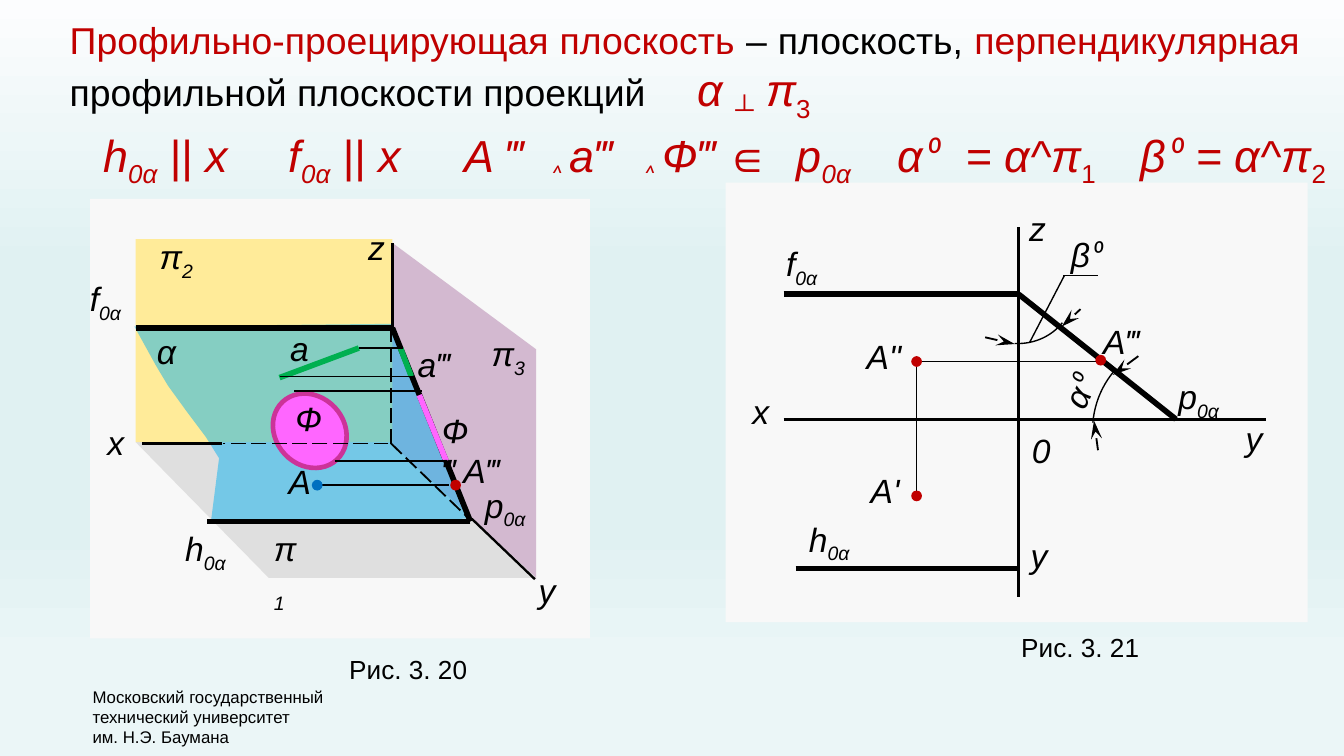
"""Build the slide on the profile-projecting plane."""
from lxml import etree
from pptx import Presentation, util as u
from pptx.dml.color import RGBColor
from pptx.enum import dml, shapes, text
from pptx.oxml import ns

PX = 9144
THEME = {
    "ink": "000000", "red": "C00000", "panel": "F8F8F8", "blue": "0070C0",
    "green": "00B050", "pink": "FF66FF", "rim": "CC3399", "lilac": "CAAAC6",
    "grey": "DFDFDF", "sand": "FFEB99", "sky": "00B0F0",
    "sizes": {"big": 24, "head": 20, "mark": 18, "note": 14, "foot": 9},
    "back": [(0, "FCFDFE"), (35, "E0F1F2"), (67, "E0F1F2"), (69, "E0F1F2"),
             (88, "EBF6F7"), (100, "EBF6F7")],
}

deck = Presentation()
deck.slide_width, deck.slide_height = u.Inches(10), u.Inches(5.625)
slide = deck.slides.add_slide(deck.slide_layouts[6])
tree = slide.shapes


def paint(shape, fill=None, line=None, width=1, alpha=None):
    shape.shadow.inherit = False
    if fill:
        shape.fill.solid()
        shape.fill.fore_color.rgb = RGBColor.from_string(THEME[fill])
        if alpha:
            node = shape._element.spPr.find(".//" + ns.qn("a:srgbClr"))
            etree.SubElement(node, ns.qn("a:alpha"), val=str(alpha * 1000))
    else:
        shape.fill.background()
    if line:
        shape.line.color.rgb = RGBColor.from_string(THEME[line])
        shape.line.width = u.Pt(width)
    else:
        shape.line.fill.background()


def write(area, paras, wrap=False, turn=0, tabs=(), align=None):
    box = tree.add_textbox(*[n * PX for n in area])
    box.rotation = turn
    frame = box.text_frame
    frame.word_wrap = wrap
    frame.auto_size = text.MSO_AUTO_SIZE.SHAPE_TO_FIT_TEXT
    for num, runs in enumerate(paras):
        para = frame.add_paragraph() if num else frame.paragraphs[0]
        if align is not None:
            para.alignment = align
        if tabs:
            stops = etree.SubElement(para._p.get_or_add_pPr(), ns.qn("a:tabLst"))
            for stop in tabs:
                etree.SubElement(stops, ns.qn("a:tab"), pos=str(stop * PX), algn="l")
        for words, size, hue, style in runs:
            run = para.add_run()
            run.text = words
            run.font.name = "Calibri" if "c" in style else "Arial"
            run.font.size = u.Pt(THEME["sizes"][size])
            run.font.italic = "i" in style
            run.font.color.rgb = RGBColor.from_string(THEME[hue])
            if "s" in style:
                run.font._element.set("baseline", "-25000")


slide.background.fill.gradient()
grad = slide._element.find(".//" + ns.qn("a:gradFill"))
for node in list(grad):
    grad.remove(node)
stops = etree.SubElement(grad, ns.qn("a:gsLst"))
for place, hue in THEME["back"]:
    stop = etree.SubElement(stops, ns.qn("a:gs"), pos=str(place * 1000))
    etree.SubElement(stop, ns.qn("a:srgbClr"), val=hue)
etree.SubElement(grad, ns.qn("a:lin"), ang="5400000", scaled="0")

RECT, OVAL, ARC = (shapes.MSO_SHAPE.RECTANGLE, shapes.MSO_SHAPE.OVAL, shapes.MSO_SHAPE.ARC)
for area in [(540, 136, 433, 327), (67, 148, 372, 327)]:
    paint(tree.add_shape(RECT, *[n * PX for n in area]), "panel")

side = [(291, 180), (399, 260), (399, 431), (291, 330)]
floor = [(101, 329), (290, 329), (399, 430), (200, 430)]
alpha = [(100, 243), (292, 241), (348, 386), (157, 388), (163, 341),
         (153, 325), (138, 305), (125, 287), (116, 272)]
for points, hue, clear in [(side, "lilac", 80), (floor, "grey", None), (alpha, "sky", 48)]:
    if hue == "sky":
        paint(tree.add_shape(RECT, 101 * PX, 178 * PX, 191 * PX, 151 * PX), "sand")
    pen = tree.build_freeform(*points[0], scale=PX)
    pen.add_line_segments(points[1:], close=True)
    paint(pen.convert_to_shape(), hue, alpha=clear)

disc = tree.add_shape(OVAL, 205 * PX, 291 * PX, 51 * PX, 59 * PX)
disc.rotation = 316.8
paint(disc, "pink", "rim", 2.5)

for area, turn, ends in [((814, 250, 138, 140), 270, (164.74, 186.16)),
                         ((715, 171, 83, 86), 108.4, (173.57, 206.33))]:
    arc = tree.add_shape(ARC, *[n * PX for n in area])
    arc.rotation = turn
    for num, end in enumerate(ends):
        arc.adjustments[num] = end
    paint(arc, None, "ink", 0.75)

lines = [
    ("ink", 1.5, "", [(583, 312, 942, 312), (758, 169, 758, 444)]),
    ("ink", 3, "", [(583, 219, 758, 219), (592, 423, 758, 423), (758, 219, 875, 312),
                    (101, 244, 292, 244), (292, 244, 350, 388), (350, 388, 154, 388)]),
    ("ink", 1.25, "", [(351, 386, 398, 431), (292, 244, 292, 181), (165, 330, 106, 330)]),
    ("green", 3, "", [(267, 259, 208, 281), (298, 259, 306, 280)]),
    ("pink", 3, "", [(312, 294, 332, 343)]),
    ("ink", 0.75, "", [(817, 269, 683, 269), (682, 269, 682, 367), (267, 259, 300, 259),
                       (208, 280, 307, 280), (219, 291, 314, 291), (249, 343, 331, 343),
                       (239, 361, 334, 361), (792, 205, 766, 255), (791, 205, 817, 205)]),
    ("ink", 1, "head", [(804, 230, 790, 243), (847, 265, 828, 279),
                        (733, 251, 755, 256), (817, 335, 814, 313)]),
    ("ink", 1, "dash", [(291, 330, 291, 240), (291, 330, 349, 386), (289, 330, 166, 330)]),
]
for hue, width, kind, spans in lines:
    for span in spans:
        line = tree.add_connector(shapes.MSO_CONNECTOR.STRAIGHT, *[n * PX for n in span])
        line.line.color.rgb = RGBColor.from_string(THEME[hue])
        line.line.width = u.Pt(width)
        if kind == "dash":
            line.line.dash_style = dml.MSO_LINE.LONG_DASH
        if kind == "head":
            etree.SubElement(line.line._get_or_add_ln(), ns.qn("a:tailEnd"),
                             type="stealth", len="lg")
        etree.SubElement(line._element.spPr, ns.qn("a:effectLst"))

for left, top, hue in [(678, 265, "red"), (815, 264, "red"), (678, 365, "red"),
                       (232, 357, "blue"), (335, 357, "red")]:
    paint(tree.add_shape(OVAL, left * PX, top * PX, 8 * PX, 8 * PX), hue)

marks = [
    ("x", "", 550, 286, 33), ("z", "", 756, 150, 33), ("y", "", 917, 306, 33),
    ("y", "", 757, 393, 33), ("f", "0α", 575, 176, 51), ("h", "0α", 592, 381, 53),
    ("p", "0α", 867, 275, 53), ("A'", "", 638, 345, 44), ('A"', "", 635, 245, 48),
    ("A‴", "", 811, 234, 46), ("0", "", 758, 315, 33), ("x", "", 70, 309, 33),
    ("z", "", 264, 164, 33), ("y", "", 391, 419, 33), ("A", "", 205, 338, 37),
    ("A‴", "", 335, 330, 46), ("p", "0α", 351, 356, 53), ("h", "0α", 128, 388, 53),
    ("f", "0α", 57, 202, 51), ("π", "2", 109, 171, 46), ("π", "3", 356, 243, 46),
    ("π", "1", 194, 388, 43), ("Ф", "", 210, 291, 39), ("Ф‴", "", 319, 300, 48),
    ("а", "", 206, 239, 35), ("а‴", "", 301, 251, 44), ("α", "", 107, 241, 36),
]
for name, sub, left, top, wide in marks:
    runs = [(name, "mark", "ink", "i")]
    if sub:
        runs.append((sub, "mark", "ink", "is"))
    write((left, top, wide, 40), [runs], wrap=name + sub in ("π1", "Ф‴"))
for name, area, turn in [("α", (780, 269, 48, 40), 295.2), ("β", (787, 169, 47, 40), 0)]:
    write(area, [[(name, "mark", "ink", "i"), ("⁰", "mark", "ink", "ic")]], True, turn)

rule = [("h", "i"), ("0α", "is"), (" || ", ""), ("x\tf", "i"), ("0α", "is"), (" || ", ""),
        ("x\tA ‴\t", "i"), ("˄ ", "ics"), ("а‴\t", "i"), ("˄ ", "ics"), ("Ф‴ ", "i"),
        ("∈\t", ""), ("p", "i"), ("0α\t", "is"), ("α", "i"), ("⁰\t", "ic"), ("= ", ""),
        ("α^π", "i"), ("1\t", "s"), ("β", "i"), ("⁰", "ic"), (" = ", ""), ("α", "i"),
        ("^", ""), ("π", "i"), ("2", "s")]
write((67, 90, 933, 51), [[(words, "big", "red", style) for words, style in rule]], True,
      tabs=(138, 269, 332, 401, 516, 591, 642, 772))

head = [("Профильно-проецирующая плоскость ", "head", "red", ""),
        ("– плоскость, ", "head", "ink", ""), ("перпендикулярная", "head", "red", ""),
        (" профильной плоскости проекций\t", "head", "ink", ""), ("α ", "big", "red", "i"),
        ("┴", "big", "red", "is"), (" π", "big", "red", "i"), ("3", "big", "red", "s")]
write((42, 8, 935, 84), [head], True, tabs=(467,), align=text.PP_ALIGN.JUSTIFY)

foot = ["Московский государственный", "технический университет", "им. Н.Э. Баумана"]
write((59, 506, 198, 55), [[(words, "foot", "ink", "")] for words in foot])
for words, left, top in [("Рис. 3. 20", 250, 481), ("Рис. 3. 21", 750, 465)]:
    write((left, top, 109, 34), [[(words, "note", "ink", "")]])

deck.save("out.pptx")
